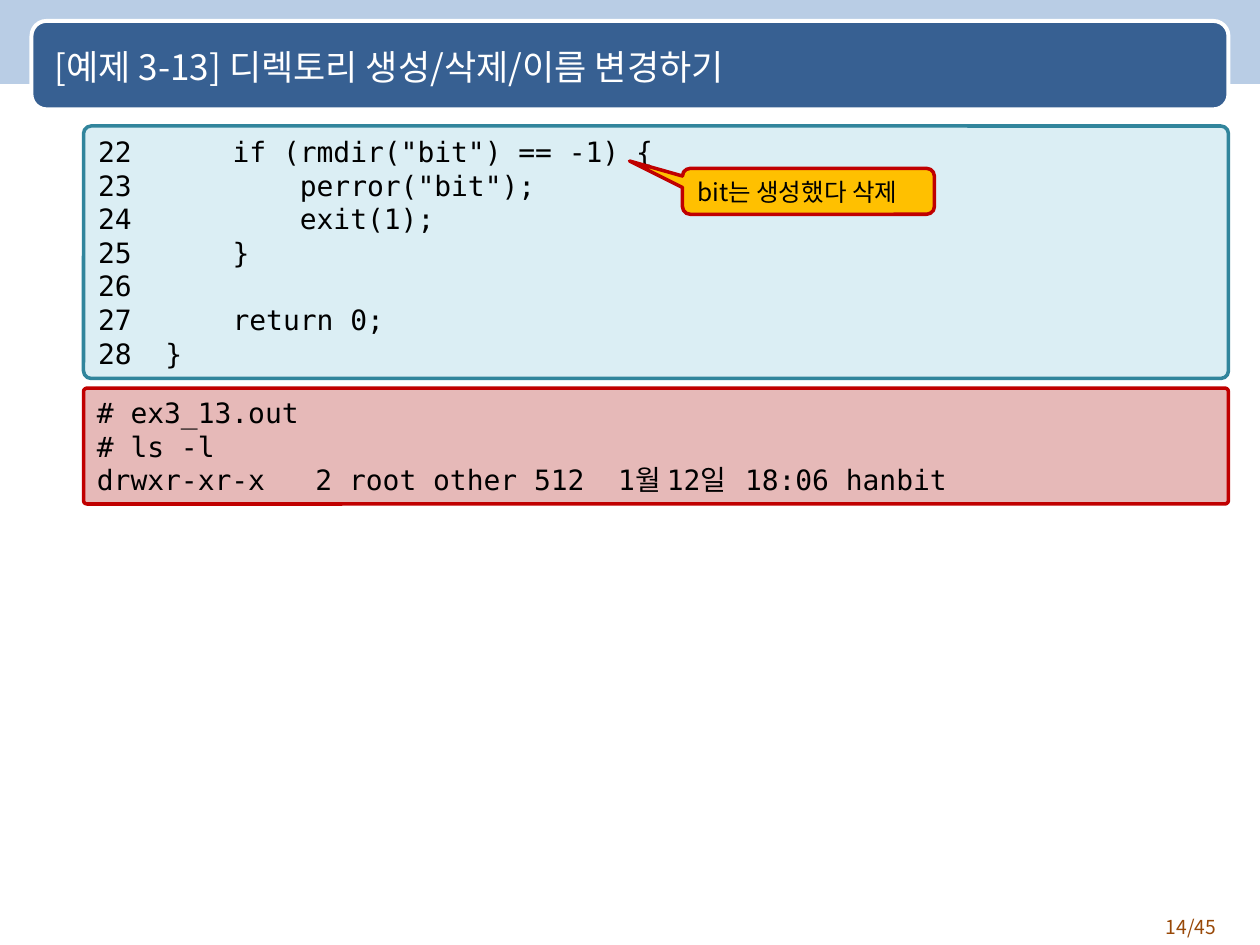
from lxml.etree import SubElement
from pptx import Presentation
from pptx.dml.color import RGBColor
from pptx.enum.shapes import MSO_SHAPE as Shape
from pptx.enum.text import MSO_ANCHOR as Anchor, MSO_AUTO_SIZE as AutoSize, PP_ALIGN as Align
from pptx.oxml.ns import qn
from pptx.util import Pt

KOREAN = "Noto Sans CJK KR"
MONO = "DejaVu Sans Mono"
SOURCE_CODE = """22      if (rmdir("bit") == -1) {
23          perror("bit");
24          exit(1);
25      }
26
27      return 0;
28  }"""
CONSOLE_OUTPUT = """# ex3_13.out
# ls -l
drwxr-xr-x   2 root other 512  1월 12일   18:06 hanbit"""


def color(hex_string):
    return RGBColor.from_string(hex_string)


class LessonSlide:
    def __init__(self, presentation):
        self.slide = presentation.slides.add_slide(presentation.slide_layouts[5])

    def set_text(self, frame, text, size, ink="000000", font=KOREAN, align=Align.LEFT):
        frame.word_wrap = True
        frame.auto_size = AutoSize.NONE
        frame.vertical_anchor = Anchor.MIDDLE
        frame.text = text
        for paragraph in frame.paragraphs:
            paragraph.alignment = align
            paragraph.font.size = Pt(size)
            paragraph.font.name = font
            paragraph.font.color.rgb = color(ink)
            defaults = paragraph._p.pPr.find(qn("a:defRPr"))
            SubElement(defaults, qn("a:ea")).set("typeface", KOREAN)

    def panel(self, kind, box, fill, line=None, width=2, adjustments=()):
        panel = self.slide.shapes.add_shape(kind, *map(Pt, box))
        panel.shadow.inherit = False
        panel.fill.solid()
        panel.fill.fore_color.rgb = color(fill)
        if line:
            panel.line.color.rgb = color(line)
            panel.line.width = Pt(width)
        else:
            panel.line.fill.background()
        for index, value in enumerate(adjustments):
            panel.adjustments[index] = value
        return panel

    def title(self, text, box):
        title = self.slide.shapes.title
        title.left, title.top, title.width, title.height = map(Pt, box)
        self.set_text(title.text_frame, text, 20, "FFFFFF")
        self.slide.shapes._spTree.append(title._element)

    def listing(self, text, box, fill, line):
        listing = self.panel(Shape.ROUNDED_RECTANGLE, box, fill, line, adjustments=[0.03])
        self.set_text(listing.text_frame, text, 16, font=MONO, align=Align.JUSTIFY)

    def callout(self, text, box, pointer):
        callout = self.panel(Shape.ROUNDED_RECTANGULAR_CALLOUT, box, "FFC000", "C00000",
                             adjustments=pointer)
        self.set_text(callout.text_frame, text, 14)

    def page_number(self, text, box):
        number = self.slide.shapes.add_textbox(*map(Pt, box))
        self.set_text(number.text_frame, text, 11, "984807", align=Align.RIGHT)


def main():
    presentation = Presentation()
    presentation.slide_width, presentation.slide_height = Pt(720), Pt(540)
    lesson = LessonSlide(presentation)
    lesson.panel(Shape.RECTANGLE, (-0.5, 0, 721, 48), "B9CDE5")
    lesson.panel(Shape.ROUNDED_RECTANGLE, (18, 12, 684, 50.5), "376092", "FFFFFF", 2.25, [0.17])
    lesson.title("[예제 3-13] 디렉토리 생성/삭제/이름 변경하기", (24, 14, 666, 48))
    lesson.listing(SOURCE_CODE, (47.75, 72, 654.25, 144.25), "DBEEF4", "31859C")
    lesson.listing(CONSOLE_OUTPUT, (47.75, 221.75, 654.25, 66.25), "E6B9B8", "C00000")
    lesson.callout("bit는 생성했다 삭제", (390, 96.25, 144, 26.25), (-0.71, -0.66, 0.17))
    lesson.page_number("14/45", (642, 519, 60, 21))
    presentation.save("out.pptx")


if __name__ == "__main__":
    main()
